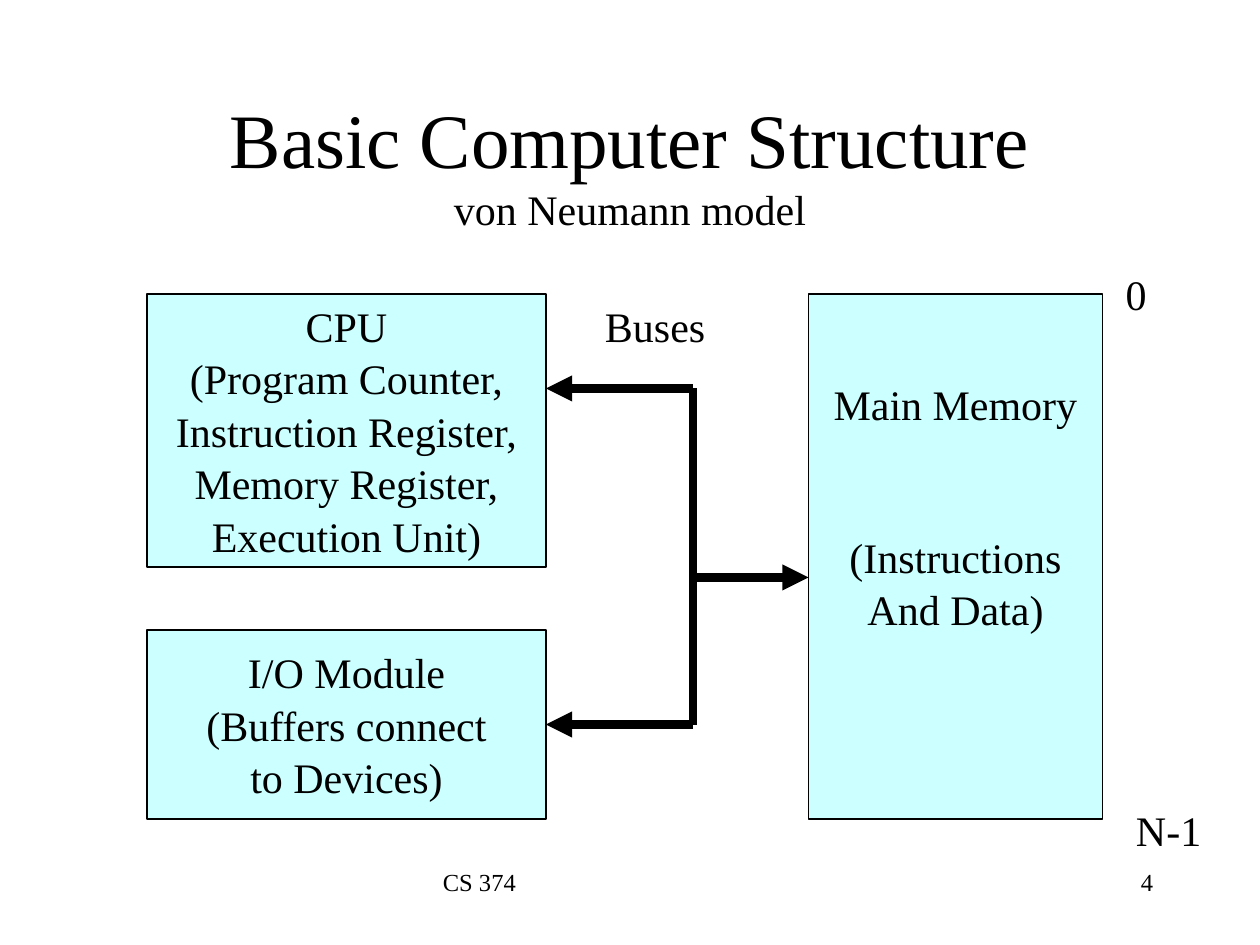
from dataclasses import dataclass

from lxml import etree
from pptx import Presentation
from pptx import util as u
from pptx.dml.color import RGBColor
from pptx.enum import shapes, text
from pptx.oxml.ns import qn

COLUMNS, ROWS = 120, 90
CELL = u.Inches(10) // COLUMNS
CENTER, LEFT, RIGHT = text.PP_ALIGN.CENTER, text.PP_ALIGN.LEFT, text.PP_ALIGN.RIGHT


@dataclass(frozen=True)
class Theme:
    font: str = "Times New Roman"
    ink: RGBColor = RGBColor(0, 0, 0)
    block: RGBColor = RGBColor(0xCC, 0xFF, 0xFF)
    title: int = 44
    body: int = 24
    footer: int = 14
    outline: float = 0.75
    bus: int = 5
    lead: float = 1.2      # space between block lines
    blank: float = 57.6    # two body lines, in points


class Diagram:
    """Draws on one slide; positions are columns and rows of the grid."""

    def __init__(self, slide, theme):
        self.slide, self.theme = slide, theme

    def cells(self, *counts):
        return [round(count * CELL) for count in counts]

    def style(self, paragraph, size, align):
        paragraph.alignment = align
        font = paragraph.font
        font.name, font.size = self.theme.font, u.Pt(size)
        font.color.rgb = self.theme.ink

    def label(self, words, area, size, align=CENTER, wrap=False):
        box = self.slide.shapes.add_textbox(*self.cells(*area))
        frame = box.text_frame
        frame.word_wrap = wrap
        frame.text = words
        self.style(frame.paragraphs[0], size, align)
        return frame

    def heading(self, words, subtitle, area):
        frame = self.label(words, area, self.theme.title, wrap=True)
        frame.vertical_anchor = text.MSO_ANCHOR.MIDDLE
        line = frame.paragraphs[0]
        line.add_line_break()
        run = line.add_run()
        run.text = subtitle
        run.font.size = u.Pt(self.theme.body)

    def block(self, lines, area):
        box = self.slide.shapes.add_shape(
            shapes.MSO_SHAPE.RECTANGLE, *self.cells(*area))
        box.shadow.inherit = False
        box.fill.solid()
        box.fill.fore_color.rgb = self.theme.block
        box.line.color.rgb = self.theme.ink
        box.line.width = u.Pt(self.theme.outline)
        frame = box.text_frame
        frame.word_wrap = False
        frame.vertical_anchor = text.MSO_ANCHOR.MIDDLE
        frame.text = "\n".join(lines)
        for paragraph in frame.paragraphs:
            self.style(paragraph, self.theme.body, CENTER)
            paragraph.space_before = u.Pt(self.theme.lead)
        return frame

    def bus(self, start, end, arrow=True):
        line = self.slide.shapes.add_connector(
            shapes.MSO_CONNECTOR.STRAIGHT, *self.cells(*start, *end))
        line.line.color.rgb = self.theme.ink
        line.line.width = u.Pt(self.theme.bus)
        properties = line._element.spPr
        if arrow:
            etree.SubElement(properties.find(qn("a:ln")), qn("a:tailEnd"), type="triangle")
        etree.SubElement(properties, qn("a:effectLst"))


def main():
    deck = Presentation()
    deck.slide_width, deck.slide_height = COLUMNS * CELL, ROWS * CELL
    theme = Theme()
    diagram = Diagram(deck.slides.add_slide(deck.slide_layouts[6]), theme)

    diagram.heading("Basic Computer Structure", "von Neumann model", (9, 8, 102, 15))

    # Processor, input/output and memory
    left, top, width, bottom = 14, 28, 38, 78
    memory_left, memory_width = 77, 28
    diagram.block(["CPU", "(Program Counter,", "Instruction Register,",
                   "Memory Register,", "Execution Unit)"], (left, top, width, 26))
    diagram.block(["I/O Module", "(Buffers connect", "to Devices)"],
                  (left, 60, width, 18))
    memory = diagram.block(["Main Memory", "(Instructions", "And Data)"],
                           (memory_left, top, memory_width, bottom - top))
    memory.paragraphs[1].space_before = u.Pt(theme.blank + theme.lead)
    memory.margin_bottom += u.Pt(theme.blank)

    # Buses: a trunk with a branch to each block
    trunk, cpu_row, memory_row, io_row = 66, 37, 55, 69
    diagram.bus((trunk, cpu_row), (trunk, io_row), arrow=False)
    for row, end in ((cpu_row, left + width), (io_row, left + width),
                     (memory_row, memory_left)):
        diagram.bus((trunk, row), (end, row))

    # Bus name and memory addresses
    for words, area in (("Buses", (56.4, 28, 12, 6)),
                        ("0", (106, 25, 4.4, 6)),
                        ("N-1", (107, 76, 8.6, 6))):
        diagram.label(words, area, theme.body)

    # Footer
    diagram.label("CS 374", (41, 82, 38, 6), theme.footer, LEFT, wrap=True)
    diagram.label("4", (86, 82, 25, 6), theme.footer, RIGHT, wrap=True)

    deck.save("out.pptx")


if __name__ == "__main__":
    main()
